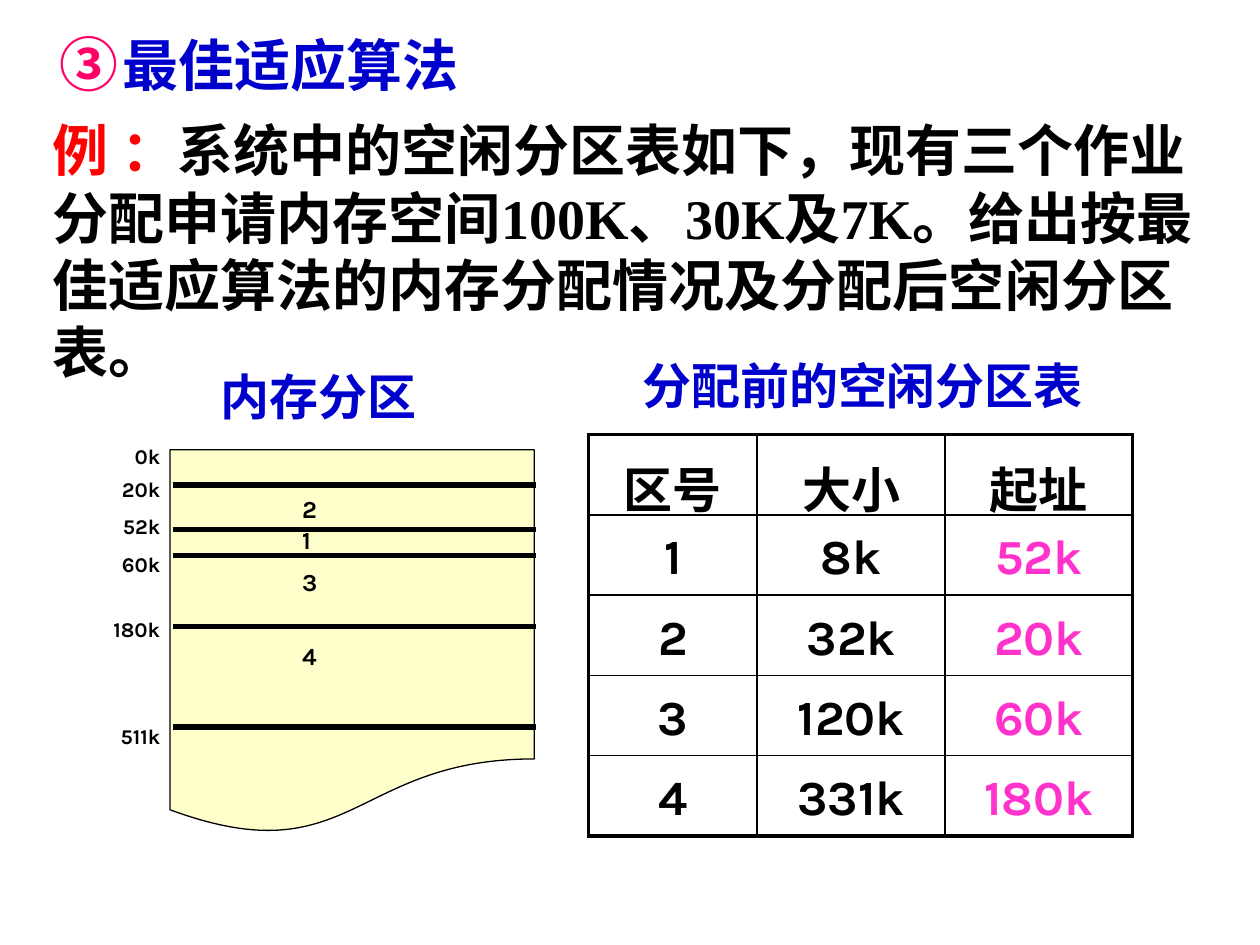
from lxml.etree import SubElement
from pptx import Presentation
from pptx.dml.color import RGBColor
from pptx.enum.shapes import MSO_CONNECTOR as Connector, MSO_SHAPE as Shape
from pptx.enum.text import PP_ALIGN as Align
from pptx.oxml.ns import qn
from pptx.util import Inches, Pt

BLACK, BLUE, RED, PINK = "000000", "0000CC", "FF0000", "FF33CC"
CJK = "Noto Sans CJK SC"


def rgb(hex_code):
    return RGBColor.from_string(hex_code)


def style(paragraph, size, font="Karla", color=BLACK, align=None, spacing=None):
    paragraph.alignment = align
    paragraph.line_spacing = spacing
    paragraph.font.size = Pt(size)
    paragraph.font.bold = True
    paragraph.font.name = font
    paragraph.font.color.rgb = rgb(color)
    defaults = paragraph._p.pPr.find(qn("a:defRPr"))
    SubElement(defaults, qn("a:ea")).set("typeface", CJK)


def text_frame(slide, box, wrap=True):
    frame = slide.shapes.add_textbox(*map(Inches, box)).text_frame
    frame.word_wrap = wrap
    return frame


def label(slide, box, text, size, **look):
    paragraph = text_frame(slide, box).paragraphs[0]
    paragraph.text = text
    style(paragraph, size, **look)


def heading(slide, box):
    paragraph = text_frame(slide, box, wrap=False).paragraphs[0]
    paragraph.text = "最佳适应算法"
    props = paragraph._p.get_or_add_pPr()
    props.set("marL", str(Inches(0.5)))
    props.set("indent", str(-Inches(0.5)))
    bullet_color = SubElement(props, qn("a:buClr"))
    SubElement(bullet_color, qn("a:srgbClr")).set("val", "FF0066")
    SubElement(props, qn("a:buSzPct")).set("val", "105000")
    numbering = SubElement(props, qn("a:buAutoNum"))
    numbering.set("type", "circleNumDbPlain")
    numbering.set("startAt", "3")
    style(paragraph, 32, CJK, BLUE, spacing=1.15)


def example(slide, box):
    frame = text_frame(slide, box)
    frame.margin_top = Inches(0.09)
    paragraph = frame.paragraphs[0]
    paragraph.add_run().text = "例 ："
    paragraph.add_run().text = (
        "系统中的空闲分区表如下，现有三个作业分配申请内存空间100K、30K及7K。"
        "给出按最佳适应算法的内存分配情况及分配后空闲分区表。")
    style(paragraph, 32, "Times New Roman", spacing=Pt(38.4))
    paragraph.runs[0].font.color.rgb = rgb(RED)


def memory_map(slide, box):
    left, top, width, height = box
    memory = slide.shapes.add_shape(Shape.FLOWCHART_DOCUMENT, *map(Inches, box))
    memory.shadow.inherit = False
    memory.fill.solid()
    memory.fill.fore_color.rgb = rgb("FFFFCC")
    memory.line.color.rgb = rgb(BLACK)
    memory.line.width = Pt(0.75)

    for offset in (0.28, 0.63, 0.84, 1.4, 2.2):
        y = Inches(top + offset)
        border = slide.shapes.add_connector(
            Connector.STRAIGHT, Inches(left + 0.02), y, Inches(left + width + 0.01), y)
        border.line.color.rgb = rgb(BLACK)
        border.line.width = Pt(3)
        SubElement(border._element.spPr, qn("a:effectLst"))

    for number, offset in (("2", 0.3), ("1", 0.55), ("3", 0.88), ("4", 1.47)):
        label(slide, (left + 0.95, top + offset, 0.46, 0.33), number, 14)

    addresses = (("0k", 1.1, 0), ("20k", 1.3, 0), ("52k", 1.5, 0),
                 ("60k", 1.5, 0), ("180k", 1.5, 15.5), ("511k", 1.1, 45))
    frame = text_frame(slide, (left - 0.63, top - 0.12, 0.65, 2.55))
    for i, (address, spacing, gap) in enumerate(addresses):
        paragraph = frame.add_paragraph() if i else frame.paragraphs[0]
        paragraph.text = address
        if gap:
            paragraph.space_before = Pt(gap)
        style(paragraph, 12, align=Align.RIGHT, spacing=spacing)


def cell_border(cell, widths):
    """Draw black sides from widths in points, ordered left, right, top, bottom."""
    props = cell._tc.get_or_add_tcPr()
    for i, (side, width) in enumerate(zip(("lnL", "lnR", "lnT", "lnB"), widths)):
        line = props.makeelement(qn(f"a:{side}"), {"w": str(Pt(width))})
        fill = SubElement(line, qn("a:solidFill"))
        SubElement(fill, qn("a:srgbClr")).set("val", BLACK)
        props.insert(i, line)


def free_partitions(slide, box):
    rows = (("区号", "大小", "起址"), ("1", "8k", "52k"), ("2", "32k", "20k"),
            ("3", "120k", "60k"), ("4", "331k", "180k"))
    last_row, last_column = len(rows) - 1, len(rows[0]) - 1
    table = slide.shapes.add_table(len(rows), len(rows[0]), *map(Inches, box)).table
    table.first_row = table.horz_banding = False
    for column, width in zip(table.columns, (1.34, 1.49, 1.49)):
        column.width = Inches(width)
    for r, row in enumerate(rows):
        for c, text in enumerate(row):
            cell = table.cell(r, c)
            cell.fill.background()
            outer = (c == 0, c == last_column, r == 0, r == last_row)
            cell_border(cell, [2.25 if edge else 1 for edge in outer])
            paragraph = cell.text_frame.paragraphs[0]
            paragraph.text = text
            color = PINK if r and c == last_column else BLACK
            style(paragraph, 28, color=color, align=Align.CENTER, spacing=1.15)


def main():
    deck = Presentation()
    deck.slide_width, deck.slide_height = Inches(10), Inches(7.5)
    slide = deck.slides.add_slide(deck.slide_layouts[6])
    memory_map(slide, (1.35, 3.57, 2.89, 3.06))
    example(slide, (0.32, 0.83, 9.34, 2.23))
    free_partitions(slide, (4.67, 3.45, 4.32, 3.18))
    label(slide, (4.8, 2.77, 4.09, 0.57), "分配前的空闲分区表", 28,
          color=BLUE, align=Align.CENTER)
    label(slide, (1.65, 2.86, 2.05, 0.57), "内存分区", 28,
          font="Times New Roman", color=BLUE)
    heading(slide, (0.37, 0.11, 3.38, 0.71))
    deck.save("out.pptx")


if __name__ == "__main__":
    main()
